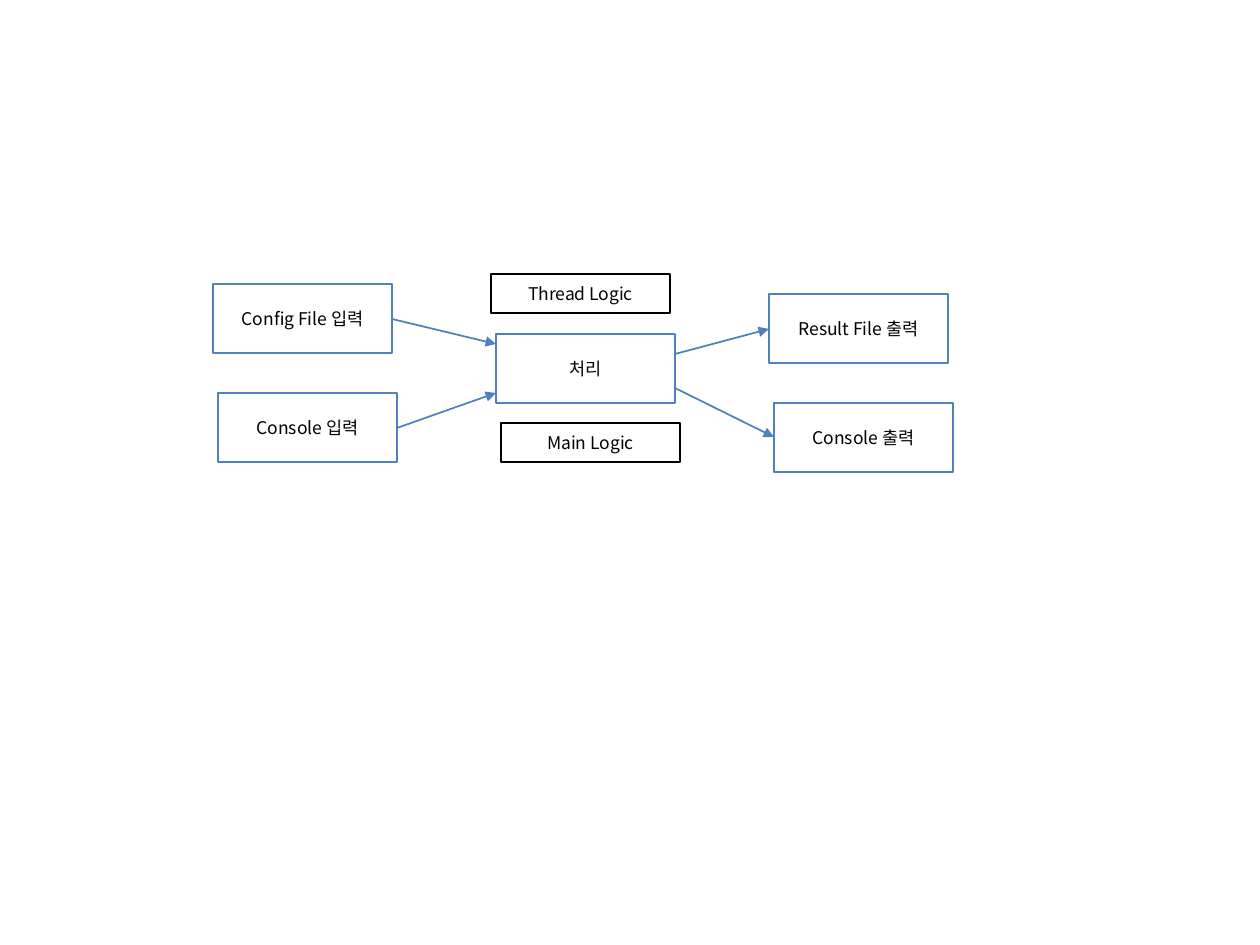
"""Build a slide showing inputs, processing logic and outputs as a flow."""
from lxml.etree import SubElement
from pptx import Presentation
from pptx.dml.color import RGBColor
from pptx.enum.shapes import MSO_CONNECTOR as CONN, MSO_SHAPE as SHAPE
from pptx.enum.text import MSO_ANCHOR as ANCHOR, PP_ALIGN as ALIGN
from pptx.oxml.ns import qn
from pptx.util import Pt

PX = 914400 // 126
FONT = "Noto Sans CJK KR"
BLUE, BLACK = "4F81BD", "000000"
BOX_W, BOX_H, LABEL_H = 179, 69, 39

prs = Presentation()
prs.slide_width, prs.slide_height = 1260 * PX, 945 * PX
s = prs.slides.add_slide(prs.slide_layouts[6])


def rgb(color):
    return RGBColor.from_string(color)


def add_text(tf, text, size=10, color=BLACK, font=FONT, align=ALIGN.CENTER):
    tf.word_wrap = True
    tf.vertical_anchor = ANCHOR.MIDDLE
    p = tf.paragraphs[0]
    p.alignment = align
    r = p.add_run()
    r.text = text
    r.font.size = Pt(size)
    r.font.name = font
    r.font.color.rgb = rgb(color)
    SubElement(r.font._element, qn("a:ea"), typeface=font)


boxes = [
    ("Config File 입력", 213, 284, BOX_H, BLUE),
    ("Console 입력", 218, 393, BOX_H, BLUE),
    ("처리", 496, 334, BOX_H, BLUE),
    ("Result File 출력", 769, 294, BOX_H, BLUE),
    ("Console 출력", 774, 403, BOX_H, BLUE),
    ("Main Logic", 501, 423, LABEL_H, BLACK),
    ("Thread Logic", 491, 274, LABEL_H, BLACK),
]
for text, x, y, h, color in boxes:
    sp = s.shapes.add_shape(SHAPE.RECTANGLE, x * PX, y * PX, BOX_W * PX, h * PX)
    sp.shadow.inherit = False
    sp.fill.background()
    sp.line.color.rgb = rgb(color)
    sp.line.width = Pt(1.5)
    add_text(sp.text_frame, text)

arrows = [
    (392, 319, 496, 344),
    (397, 428, 496, 393),
    (675, 354, 769, 329),
    (675, 388, 774, 437),
]
for ends in arrows:
    line = s.shapes.add_connector(CONN.STRAIGHT, *(v * PX for v in ends))
    line.line.color.rgb = rgb(BLUE)
    line.line.width = Pt(1)
    SubElement(line.line._get_or_add_ln(), qn("a:tailEnd"), type="triangle")
    SubElement(line._element.spPr, qn("a:effectLst"))

prs.save("out.pptx")
